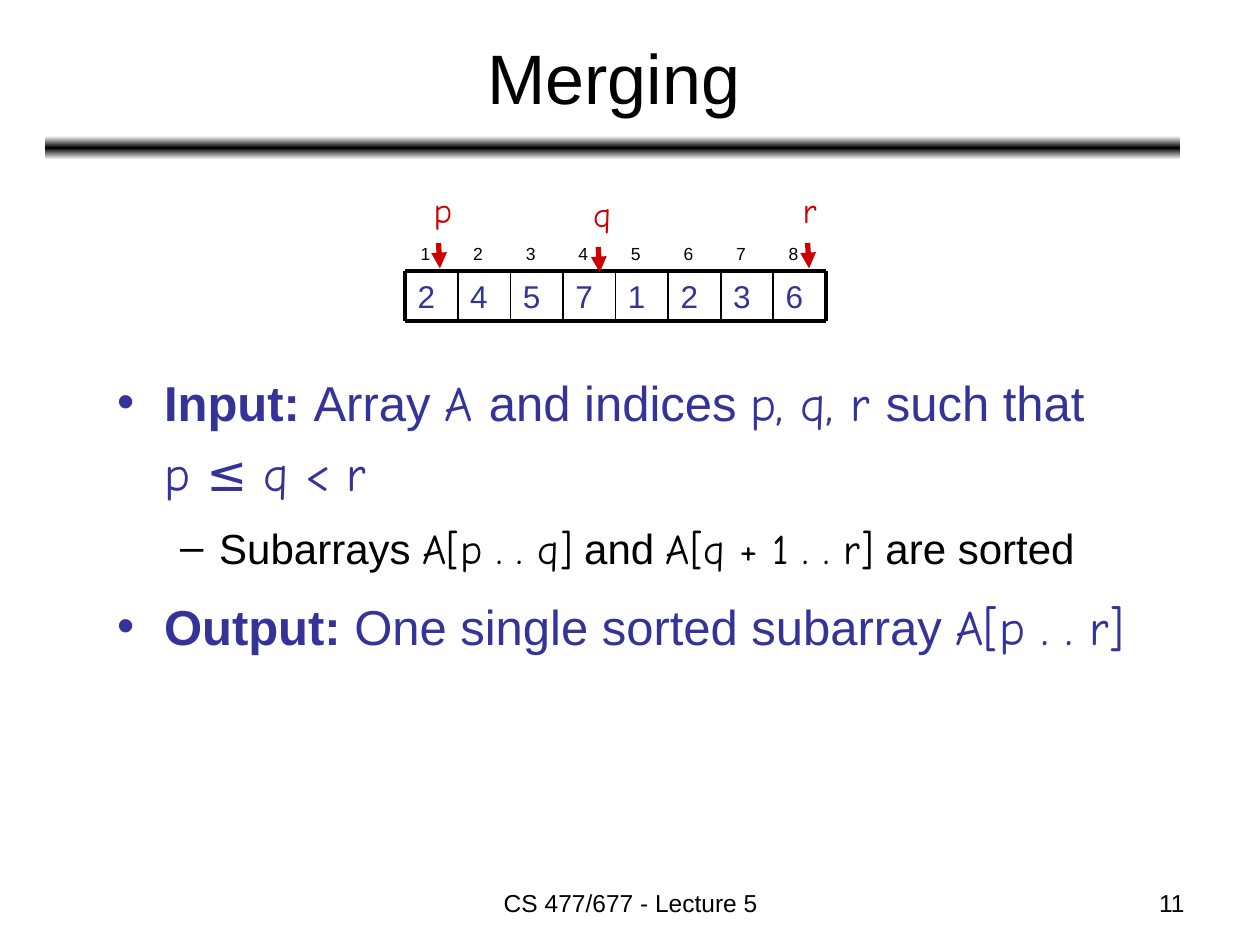
from dataclasses import dataclass

from lxml import etree
from pptx import Presentation
from pptx.dml.color import RGBColor
from pptx.enum.shapes import MSO_CONNECTOR, MSO_SHAPE
from pptx.enum.text import MSO_ANCHOR, PP_ALIGN
from pptx.oxml.ns import qn
from pptx.util import Cm, Pt
from copy import deepcopy

STRAIGHT = MSO_CONNECTOR.STRAIGHT
ROUNDED = MSO_SHAPE.ROUNDED_RECTANGLE
LEFT, CENTER, RIGHT = PP_ALIGN.LEFT, PP_ALIGN.CENTER, PP_ALIGN.RIGHT
TOP, MIDDLE = MSO_ANCHOR.TOP, MSO_ANCHOR.MIDDLE


@dataclass(frozen=True)
class Theme:
    sans: str = "Arial"
    code: str = "Comic Neue"
    ink: str = "000000"
    paper: str = "FFFFFF"
    accent: str = "333399"
    marker: str = "CC0000"
    title: int = 40
    point: int = 28
    subpoint: int = 24
    pointer: int = 20
    value: int = 18
    footer: int = 14
    index: int = 10
    frame: float = 2.25
    divider: float = 1
    arrow: float = 3


class SlideBuilder:
    def __init__(self, slide, theme):
        self.shapes = slide.shapes
        self.theme = theme

    def run(self, paragraph, text, size, color, font=None, bold=False):
        run = paragraph.add_run()
        run.text = text
        font_format = {"name": font or self.theme.sans, "size": Pt(size), "bold": bold}
        for attribute, value in font_format.items():
            setattr(run.font, attribute, value)
        run.font.color.rgb = RGBColor.from_string(color)

    def frame(self, box, wrap=True, anchor=TOP):
        frame = self.shapes.add_textbox(*map(Cm, box)).text_frame
        frame_format = {"word_wrap": wrap, "vertical_anchor": anchor}
        for attribute, value in frame_format.items():
            setattr(frame, attribute, value)
        return frame

    def label(self, box, text, size, color, font=None, align=LEFT,
              anchor=TOP, wrap=True, before=0):
        paragraph = self.frame(box, wrap, anchor).paragraphs[0]
        paragraph.alignment = align
        paragraph.space_before = Pt(before)
        self.run(paragraph, text, size, color, font)

    def line(self, start, end, color, width, arrow=False):
        line = self.shapes.add_connector(STRAIGHT, *map(Cm, start + end))
        line.line.color.rgb = RGBColor.from_string(color)
        line.line.width = Pt(width)
        properties = line._element.spPr
        if arrow:
            etree.SubElement(properties.find(qn("a:ln")), qn("a:tailEnd"), type="triangle")
        etree.SubElement(properties, qn("a:effectLst"))

    def gradient_bar(self, box, edge, middle):
        bar = self.shapes.add_shape(ROUNDED, *map(Cm, box))
        bar.shadow.inherit = False
        bar.line.fill.background()
        bar.fill.gradient()
        bar.fill.gradient_angle = 90
        stops = bar._element.spPr.find(qn("a:gradFill")).find(qn("a:gsLst"))
        stops.insert(1, deepcopy(stops[0]))
        for stop, position, color in zip(bar.fill.gradient_stops, (0, 0.5, 1),
                                         (edge, middle, edge)):
            stop.position = position
            stop.color.rgb = RGBColor.from_string(color)

    def outline(self, box, points):
        frame = self.frame(box)
        for number, (style, parts) in enumerate(points):
            paragraph = frame.add_paragraph() if number else frame.paragraphs[0]
            paragraph.level = style["level"]
            paragraph.line_spacing = 1.2
            paragraph.space_before = Pt(style["before"])
            properties = paragraph._p.get_or_add_pPr()
            properties.set("marL", str(Cm(style["margin"])))
            properties.set("indent", str(-Cm(style["hanging"])))
            bullet_color = etree.SubElement(properties, qn("a:buClr"))
            etree.SubElement(bullet_color, qn("a:srgbClr"), val=style["color"])
            etree.SubElement(properties, qn("a:buFont"), typeface=self.theme.sans)
            etree.SubElement(properties, qn("a:buChar"), char=style["bullet"])
            for kind, text in parts:
                if kind == "break":
                    paragraph.add_line_break()
                    continue
                font = self.theme.code if kind == "code" else self.theme.sans
                self.run(paragraph, text, style["size"], style["color"], font,
                         kind == "bold")

    def array(self, left, top, pitch, height, values):
        theme = self.theme
        right, bottom = left + pitch * len(values), top + height
        for position, value in enumerate(values):
            x = left + position * pitch
            self.label((x + 0.06, top - 0.68, 0.64, 0.69), str(position + 1),
                       theme.index, theme.ink)
            self.label((x, top, pitch, height), str(value), theme.value,
                       theme.accent, anchor=MIDDLE if position == 0 else TOP,
                       before=4.5)
        for y in (top, bottom):
            self.line((left, y), (right, y), theme.ink, theme.frame)
        for edge in range(len(values) + 1):
            x = left + edge * pitch
            width = theme.frame if edge in (0, len(values)) else theme.divider
            self.line((x, top), (x, bottom), theme.ink, width)

    def pointer(self, name, x, y, label_width):
        theme = self.theme
        self.line((x, y), (x + 0.03, y + 0.51), theme.marker, theme.arrow, arrow=True)
        self.label((x - 0.35, y - 1.23, label_width, 1.12), name, theme.pointer,
                   theme.marker, theme.code, wrap=False)


def main():
    presentation = Presentation()
    presentation.slide_width, presentation.slide_height = Cm(25.4), Cm(19.05)
    theme = Theme()
    slide = presentation.slides.add_slide(presentation.slide_layouts[6])
    builder = SlideBuilder(slide, theme)

    builder.gradient_bar((0.91, 2.74, 22.89, 0.48), theme.paper, theme.ink)
    builder.label((8.69, 17.78, 8.05, 0.89), "CS 477/677 - Lecture 5",
                  theme.footer, theme.ink, align=CENTER)
    builder.label((18.21, 17.78, 5.92, 0.89), "11", theme.footer, theme.ink,
                  align=RIGHT)
    builder.label((0.94, 0.28, 22.86, 2.51), "Merging", theme.title, theme.ink,
                  align=CENTER, anchor=MIDDLE)

    point = {"level": 0, "margin": 0.95, "hanging": 0.95, "before": 7,
             "bullet": "•", "size": theme.point, "color": theme.accent}
    subpoint = {"level": 1, "margin": 2.06, "hanging": 0.79, "before": 6,
                "bullet": "–", "size": theme.subpoint, "color": theme.ink}
    builder.outline((2.11, 7.14, 21.49, 7.44), [
        (point, [("bold", "Input: "), ("plain", "Array "), ("code", "A "),
                 ("plain", "and indices "), ("code", "p, q, r "),
                 ("plain", "such that"), ("break", ""), ("code", "p ≤ q < r")]),
        (subpoint, [("plain", "Subarrays "), ("code", "A[p . . q]"),
                    ("plain", " and "), ("code", "A[q + 1 . . r]"),
                    ("plain", " are sorted")]),
        (point, [("bold", "Output: "), ("plain", "One single sorted subarray "),
                 ("code", "A[p . . r]")]),
    ])

    builder.array(8.17, 5.46, 1.06, 1.02, (2, 4, 5, 7, 1, 2, 3, 6))
    for name, x, y, label_width in (("p", 8.84, 4.9, 0.89), ("r", 16.28, 4.9, 0.79),
                                    ("q", 12.06, 4.98, 0.86)):
        builder.pointer(name, x, y, label_width)

    presentation.save("out.pptx")


if __name__ == "__main__":
    main()
